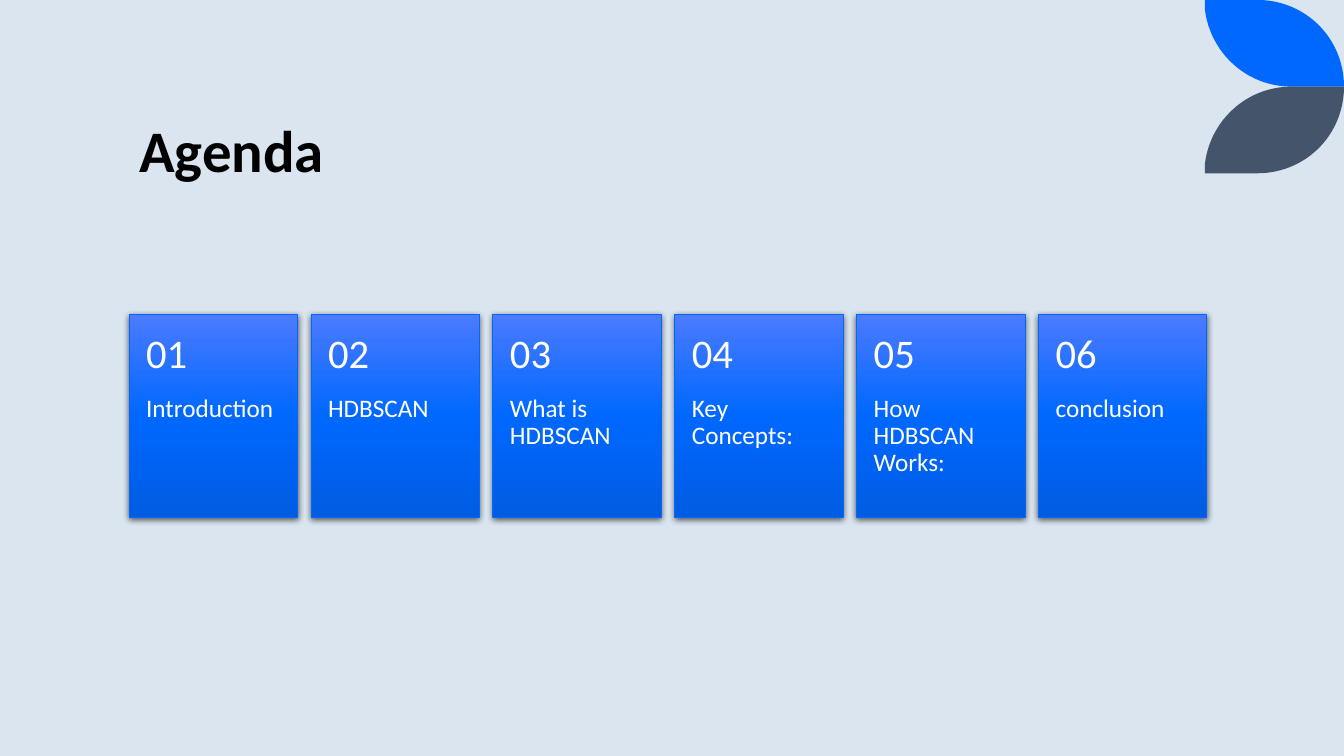
from dataclasses import dataclass

from pptx import Presentation
from pptx.dml.color import RGBColor
from pptx.enum.shapes import MSO_SHAPE
from pptx.enum.text import MSO_ANCHOR, MSO_AUTO_SIZE, PP_ALIGN
from pptx.oxml import parse_xml
from pptx.oxml.ns import nsdecls, qn
from pptx.util import Inches, Pt


@dataclass(frozen=True)
class Theme:
    font: str = "Calibri"
    back: str = "DAE5EF"
    blue: str = "0068FF"
    slate: str = "44546A"
    ink: str = "000000"
    white: str = "FFFFFF"
    fade: tuple = ((0, "4B7BFF"), (50, "0068FF"), (100, "005CE3"))
    title: int = 42
    number: int = 29
    label: int = 18


THEME = Theme()
WIDE, HIGH = 13.33, 7.5

# Card grid: six equal columns spread between the title's edges
LEFT, SPAN = 1.28, 10.69
TOP, CARD_W, CARD_H = 3.12, 1.67, 2.01
HEAD_H = CARD_H * 0.4
PAD = 0.17
ITEMS = ("Introduction", "HDBSCAN", "What is HDBSCAN",
         "Key Concepts:", "How HDBSCAN Works:", "conclusion")
STEP = (SPAN - CARD_W) / (len(ITEMS) - 1)

# Leaf outline: start point, then two Bezier curves
LEAF_X, LEAF_H = 11.95, 0.86
CURVES = (((12.47, 0), (12.95, 0), (13.33, 0.38), (13.33, 0.86)),
          ((12.81, 0.86), (12.36, 0.86), (12, 0.52), (11.95, 0.09)))


def paint(fill, color):
    fill.solid()
    fill.fore_color.rgb = RGBColor.from_string(color)


def write(frame, text, size, color, space, anchor, bold=False):
    frame.text = text
    frame.word_wrap = True
    frame.auto_size = MSO_AUTO_SIZE.NONE
    frame.vertical_anchor = anchor
    line = frame.paragraphs[0]
    line.alignment = PP_ALIGN.LEFT
    line.line_spacing = space
    font = line.runs[0].font
    font.name, font.size, font.bold = THEME.font, Pt(size), bold
    font.color.rgb = RGBColor.from_string(color)


def trace(curve, count=24):
    """Sample points along a cubic Bezier curve."""
    a, b, c, d = curve
    for i in range(count + 1):
        t = i / count
        s = 1 - t
        yield tuple(s**3 * p + 3 * s * s * t * q + 3 * s * t * t * r + t**3 * e
                    for p, q, r, e in zip(a, b, c, d))


def add_leaf(slide, color, flip=False):
    points = [(LEAF_X, 0)] + [p for curve in CURVES for p in trace(curve)]
    if flip:
        points = [(x, 2 * LEAF_H - y) for x, y in points]
    points = [(Inches(x), Inches(y)) for x, y in points]
    pen = slide.shapes.build_freeform(*points[0])
    pen.add_line_segments(points[1:])
    leaf = pen.convert_to_shape()
    leaf.shadow.inherit = False
    paint(leaf.fill, color)
    leaf.line.fill.background()


def add_panel(slide, x):
    panel = slide.shapes.add_shape(MSO_SHAPE.RECTANGLE, Inches(x), Inches(TOP),
                                   Inches(CARD_W), Inches(CARD_H))
    paint(panel.line.fill, THEME.blue)
    panel.line.width = Pt(0.5)
    # Three-stop gradient, top to bottom
    panel.fill.gradient()
    panel.fill.gradient_angle = 270
    stops = panel.element.spPr.find(qn("a:gradFill")).find(qn("a:gsLst"))
    for old in list(stops):
        stops.remove(old)
    for place, color in THEME.fade:
        stops.append(parse_xml(
            f'<a:gs {nsdecls("a")} pos="{place * 1000}">'
            f'<a:srgbClr val="{color}"/></a:gs>'))
    # Soft shadow below
    panel.shadow.inherit = False
    panel.element.spPr.find(qn("a:effectLst")).append(parse_xml(
        f'<a:outerShdw {nsdecls("a")} blurRad="{Pt(4.5)}" dist="{Pt(1.5)}" '
        f'dir="5400000" algn="ctr" rotWithShape="0">'
        f'<a:srgbClr val="{THEME.ink}"><a:alpha val="63000"/></a:srgbClr>'
        f'</a:outerShdw>'))


def add_note(slide, x, y, high, text, size, anchor, top, foot):
    box = slide.shapes.add_textbox(Inches(x), Inches(y),
                                   Inches(CARD_W), Inches(high))
    frame = box.text_frame
    frame.margin_left = frame.margin_right = Inches(PAD)
    frame.margin_top, frame.margin_bottom = Inches(top), Inches(foot)
    write(frame, text, size, THEME.white, 0.9, anchor)


def add_card(slide, index, label):
    x = LEFT + index * STEP
    add_panel(slide, x)
    add_note(slide, x, TOP + HEAD_H, CARD_H - HEAD_H, label, THEME.label,
             MSO_ANCHOR.TOP, 0, 0.36)
    add_note(slide, x, TOP, HEAD_H, f"{index + 1:02}", THEME.number,
             MSO_ANCHOR.MIDDLE, 0.18, 0.18)


def set_title(slide, text):
    title = slide.shapes.title
    title.left, title.top = Inches(LEFT), Inches(0.15)
    title.width, title.height = Inches(SPAN), Inches(1.72)
    write(title.text_frame, text, THEME.title, THEME.ink, 0.8,
          MSO_ANCHOR.BOTTOM, bold=True)


def main():
    deck = Presentation()
    deck.slide_width, deck.slide_height = Inches(WIDE), Inches(HIGH)
    slide = deck.slides.add_slide(deck.slide_layouts[5])
    paint(slide.background.fill, THEME.back)

    # Corner leaves
    add_leaf(slide, THEME.blue)
    add_leaf(slide, THEME.slate, flip=True)

    # Title and agenda cards
    set_title(slide, "Agenda")
    for index, label in enumerate(ITEMS):
        add_card(slide, index, label)

    deck.save("out.pptx")


if __name__ == "__main__":
    main()
